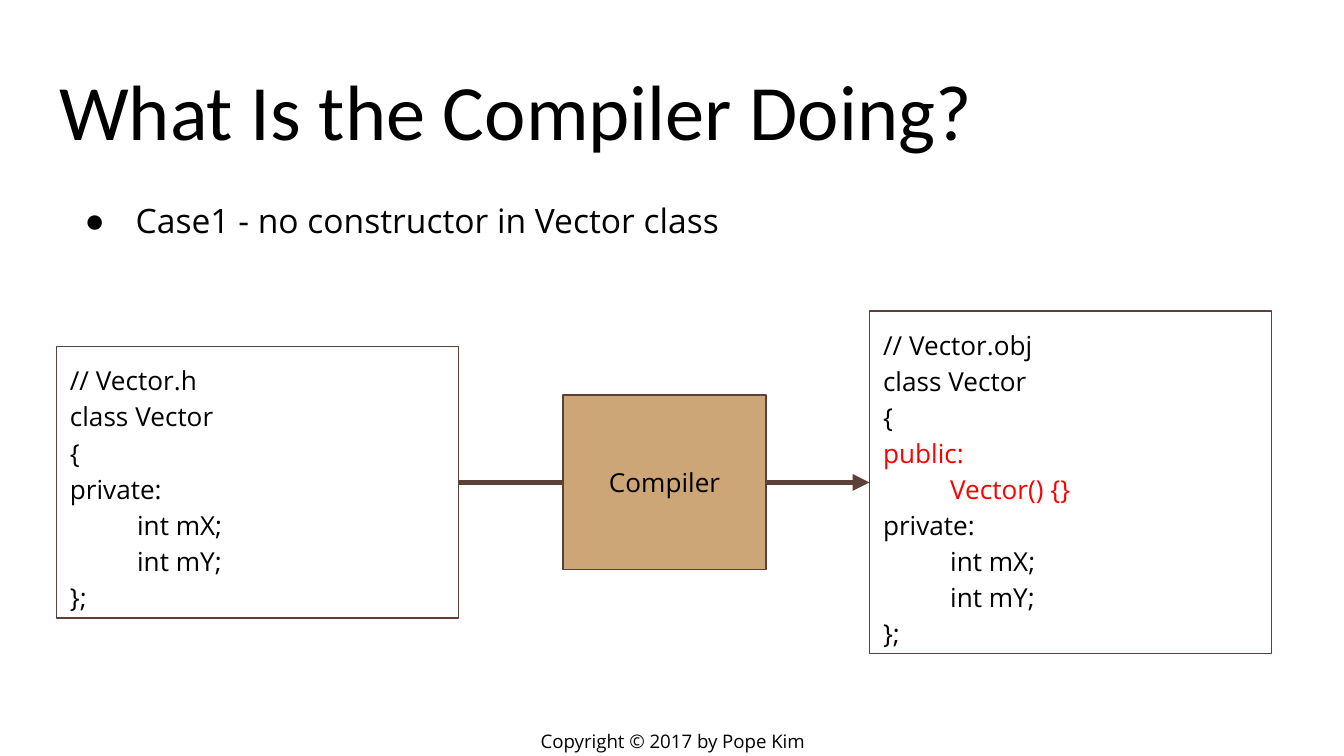
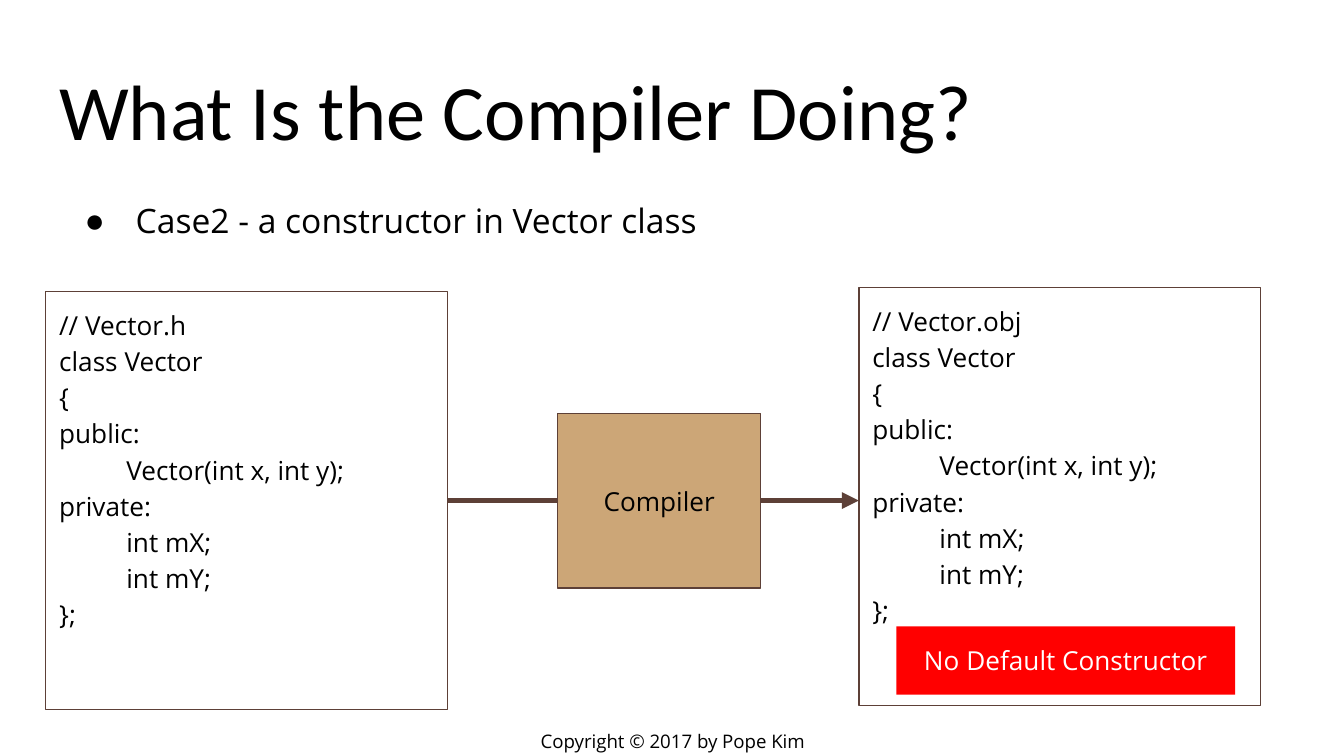
from dataclasses import dataclass

from lxml.etree import SubElement
from pptx import Presentation
from pptx.dml.color import RGBColor
from pptx.enum.shapes import MSO_CONNECTOR, MSO_SHAPE
from pptx.enum.text import MSO_ANCHOR, MSO_AUTO_SIZE, PP_ALIGN
from pptx.oxml.ns import qn
from pptx.util import Inches, Pt


@dataclass(frozen=True)
class Theme:
    black: str = "000000"
    white: str = "FFFFFF"
    red: str = "FF0000"
    brown: str = "5D4037"
    tan: str = "CCA677"
    title_font: str = "Calibri"
    body_font: str = "Open Sans"
    title_size: int = 42
    list_size: int = 18
    code_size: int = 14
    footer_size: int = 10
    outline: float = 0.75
    arrow: float = 3


@dataclass(frozen=True)
class Box:
    left: float
    top: float
    width: float
    height: float

    @classmethod
    def centred(cls, left, middle, width, height):
        return cls(left, middle - height / 2, width, height)

    @property
    def middle(self):
        return self.top + self.height / 2

    def place(self, shape):
        shape.left, shape.top = grid(self.left), grid(self.top)
        shape.width, shape.height = grid(self.width), grid(self.height)

    def lengths(self):
        return [grid(n) for n in (self.left, self.top, self.width, self.height)]


THEME = Theme()
COLUMNS, ROWS = 100, 56.25
TITLE = Box(3.4, 3.5, 93.2, 9.1)
LIST = Box(4.1, 13.9, 92.5, 5.1)
FOOTER = Box(37.7, 54.1, 24.7, 2.1)
CODE_WIDTH, CODE_STEP = 29.9, 60.5
COMPILER_WIDTH, COMPILER_HEIGHT = 15.1, 13
COMPARISON_LAYOUT = 4

VECTOR_MEMBERS = "private:\n\tint mX;\n\tint mY;\n};"
VECTOR_CONSTRUCTOR = "class Vector\n{\npublic:\n\tVector(int x, int y);\n" + VECTOR_MEMBERS


def grid(cells):
    return Inches(cells / 10)


def colour(value):
    return RGBColor.from_string(value)


def prepare(frame, anchor):
    frame.word_wrap = True
    frame.auto_size = MSO_AUTO_SIZE.NONE
    frame.vertical_anchor = anchor
    frame.margin_left = frame.margin_right = grid(1)
    frame.margin_top = frame.margin_bottom = grid(1)
    return frame.paragraphs[0]


def add_runs(paragraph, runs, size, font=THEME.body_font):
    paragraph.space_before = Pt(0)
    lines = [(line, shade) for text, shade in runs for line in text.split("\n")]
    for number, (line, shade) in enumerate(lines):
        if number:
            paragraph.add_line_break()
        run = paragraph.add_run()
        run.text = line
        run.font.name = font
        run.font.size = Pt(size)
        run.font.bold = False
        run.font.color.rgb = colour(shade)


def add_title(slide, box, text):
    title = slide.shapes.title
    box.place(title)
    paragraph = prepare(title.text_frame, MSO_ANCHOR.BOTTOM)
    paragraph.alignment = PP_ALIGN.LEFT
    add_runs(paragraph, [(text, THEME.black)], THEME.title_size, THEME.title_font)


def add_list(placeholder, box, text):
    box.place(placeholder)
    paragraph = prepare(placeholder.text_frame, MSO_ANCHOR.TOP)
    properties = paragraph._p.get_or_add_pPr()
    properties.set("marL", str(Inches(0.5)))
    properties.set("indent", str(-Inches(0.38)))
    SubElement(properties, qn("a:buChar"), char="●")
    add_runs(paragraph, [(text, THEME.black)], THEME.list_size)


def add_code(placeholder, box, runs):
    box.place(placeholder)
    placeholder.line.color.rgb = colour(THEME.brown)
    placeholder.line.width = Pt(THEME.outline)
    paragraph = prepare(placeholder.text_frame, MSO_ANCHOR.TOP)
    properties = paragraph._p.get_or_add_pPr()
    properties.set("marL", "0")
    properties.set("indent", "0")
    SubElement(properties, qn("a:buNone"))
    tabs = SubElement(properties, qn("a:tabLst"))
    SubElement(tabs, qn("a:tab"), pos=str(Inches(1)), algn="l")
    paragraph.line_spacing = 1.15
    paragraph.space_after = Pt(16)
    add_runs(paragraph, runs, THEME.code_size)


def add_label(slide, box, text, fill, text_colour, outline=None):
    shape = slide.shapes.add_shape(MSO_SHAPE.RECTANGLE, *box.lengths())
    shape.shadow.inherit = False
    shape.fill.solid()
    shape.fill.fore_color.rgb = colour(fill)
    if outline:
        shape.line.color.rgb = colour(outline)
        shape.line.width = Pt(THEME.outline)
    else:
        shape.line.fill.background()
    paragraph = prepare(shape.text_frame, MSO_ANCHOR.MIDDLE)
    paragraph.alignment = PP_ALIGN.CENTER
    add_runs(paragraph, [(text, text_colour)], THEME.code_size)


def add_arrow(slide, source, source_box, target, target_box):
    middle = grid(source_box.middle)
    connector = slide.shapes.add_connector(
        MSO_CONNECTOR.STRAIGHT,
        grid(source_box.left + source_box.width), middle,
        grid(target_box.left), middle,
    )
    connector.begin_connect(source, 3)
    if source_box.middle == target_box.middle:
        connector.end_connect(target, 1)
    connector.line.color.rgb = colour(THEME.brown)
    connector.line.width = Pt(THEME.arrow)
    SubElement(connector.line._get_or_add_ln(), qn("a:tailEnd"), type="triangle")
    SubElement(connector._element.spPr, qn("a:effectLst"))


def add_footer(slide, box, text):
    footer = slide.shapes.add_textbox(*box.lengths())
    paragraph = prepare(footer.text_frame, MSO_ANCHOR.MIDDLE)
    paragraph.alignment = PP_ALIGN.CENTER
    add_runs(paragraph, [(text, THEME.black)], THEME.footer_size)


def add_compiler_slide(presentation, case, header, header_box, output, output_box, compiler_left):
    slide = presentation.slides.add_slide(presentation.slide_layouts[COMPARISON_LAYOUT])
    bodies = {shape.placeholder_format.idx: shape for shape in slide.placeholders}
    unused = bodies[3]._element
    unused.getparent().remove(unused)
    add_footer(slide, FOOTER, "Copyright © 2017 by Pope Kim")
    add_title(slide, TITLE, "What Is the Compiler Doing?")
    add_list(bodies[1], LIST, case)
    add_code(bodies[2], header_box, header)
    add_code(bodies[4], output_box, output)
    add_arrow(slide, bodies[2], header_box, bodies[4], output_box)
    compiler_box = Box.centred(compiler_left, header_box.middle, COMPILER_WIDTH, COMPILER_HEIGHT)
    add_label(slide, compiler_box, "Compiler", THEME.tan, THEME.black, THEME.brown)
    return slide


def main():
    presentation = Presentation()
    presentation.slide_width = grid(COLUMNS)
    presentation.slide_height = grid(ROWS)

    add_compiler_slide(
        presentation,
        "Case1 - no constructor in Vector class",
        [("// Vector.h\nclass Vector\n{\n" + VECTOR_MEMBERS, THEME.black)],
        Box.centred(4.2, 35.9, CODE_WIDTH, 20.2),
        [
            ("// Vector.obj\nclass Vector\n{", THEME.black),
            ("public:\n\tVector() {}", THEME.red),
            (VECTOR_MEMBERS, THEME.black),
        ],
        Box.centred(4.2 + CODE_STEP, 35.9, CODE_WIDTH, 25.5),
        41.9,
    )

    output_box = Box(3.4 + CODE_STEP, 21.4, CODE_WIDTH, 31.1)
    slide = add_compiler_slide(
        presentation,
        "Case2 - a constructor in Vector class",
        [("// Vector.h\n" + VECTOR_CONSTRUCTOR, THEME.black)],
        Box(3.4, 21.7, CODE_WIDTH, 31.1),
        [("// Vector.obj\n" + VECTOR_CONSTRUCTOR, THEME.black)],
        output_box,
        41.5,
    )
    warning_box = Box(output_box.left + 2.8, output_box.top + 25.2, 25.2, 5.1)
    add_label(slide, warning_box, "No Default Constructor", THEME.red, THEME.white)

    presentation.save("out.pptx")


if __name__ == "__main__":
    main()
